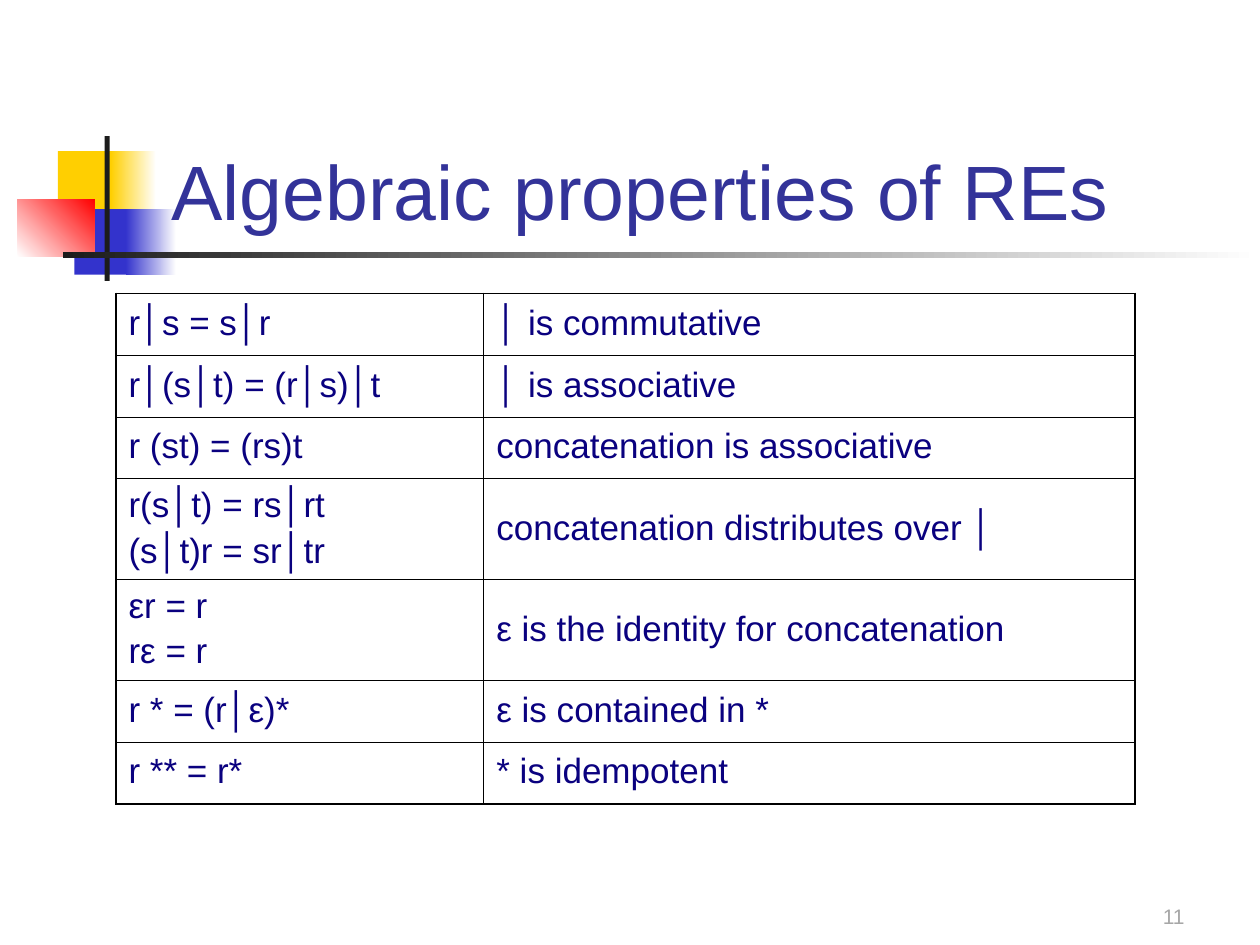
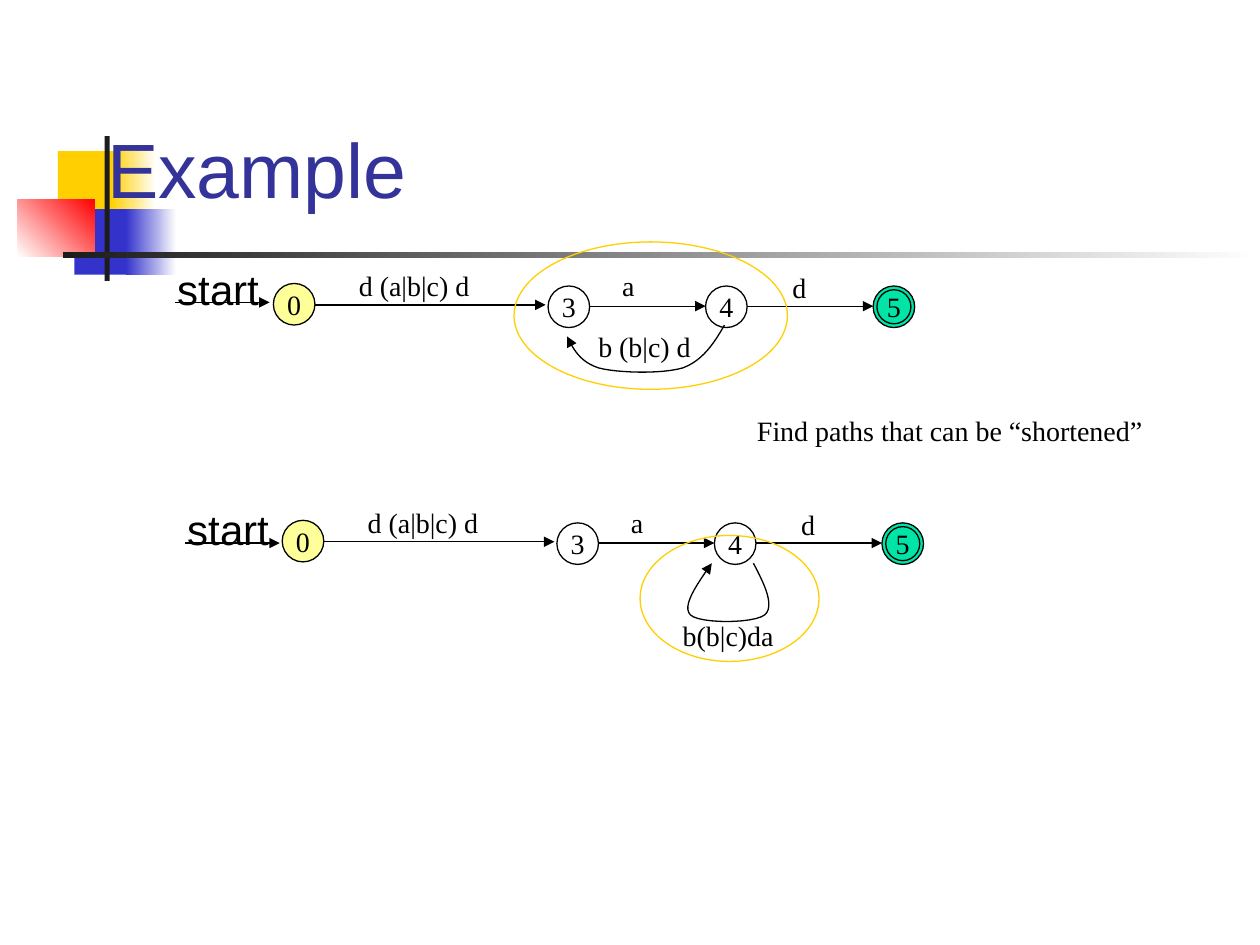
import pptx
import pptx.dml.color
import pptx.enum.shapes
import pptx.enum.text
import pptx.oxml
import pptx.oxml.ns
import pptx.util
from pptx.util import Inches

SANS, SERIF = "Arial", "Times New Roman"
BLACK, WHITE, DARK, NAVY = "000000", "FFFFFF", "1C1C1C", "0A017F"
GOLD, BLUE, RED, GREY = "FFCF01", "3333CC", "FF0000", "A7A7A7"
HEAD, PALE, GREEN = "333399", "FFFF99", "00E4A8"
THIN, THICK = 0.45, 1.08

RECT = pptx.enum.shapes.MSO_SHAPE.RECTANGLE
OVAL = pptx.enum.shapes.MSO_SHAPE.OVAL
LINE = pptx.enum.shapes.MSO_CONNECTOR.STRAIGHT
ALIGN = pptx.enum.text.PP_ALIGN
ANCHOR = pptx.enum.text.MSO_ANCHOR
FIT = pptx.enum.text.MSO_AUTO_SIZE

# left, top, width, height, colours, gradient angle
BANDS = [
    (0.46, 1.2, 0.48, 0.52, [GOLD], 0),
    (0.88, 1.2, 0.36, 0.52, [GOLD, WHITE], 0),
    (0.59, 1.66, 0.46, 0.52, [BLUE], 0),
    (1, 1.66, 0.4, 0.52, [BLUE, WHITE], 0),
    (0.14, 1.58, 0.61, 0.46, [WHITE, RED], 45),
    (0.83, 1.08, 0.04, 1.15, [DARK], 0),
    (0.5, 2, 9.5, 0.05, [DARK, WHITE], 0),
]

LAWS = [
    ("r│s = s│r", "│ is commutative"),
    ("r│(s│t) = (r│s)│t", "│ is associative"),
    ("r (st) = (rs)t", "concatenation is associative"),
    ("r(s│t) = rs│rt\n(s│t)r = sr│tr", "concatenation distributes over │"),
    ("εr = r\nrε = r", "ε is the identity for concatenation"),
    ("r * = (r│ε)*", "ε is contained in *"),
    ("r ** = r*", "* is idempotent"),
]


def paint(text):
    return pptx.dml.color.RGBColor.from_string(text)


def box(left, top, width, height):
    return [Inches(n) for n in (left, top, width, height)]


def style(frame, size, face, color, align=ALIGN.LEFT):
    for para in frame.paragraphs:
        para.alignment = align
        for run in para.runs:
            run.font.size = pptx.util.Pt(size)
            run.font.name = face
            run.font.color.rgb = paint(color)


def add(parent, tag, **attrs):
    child = pptx.oxml.parse_xml(f"<{tag} {pptx.oxml.ns.nsdecls('a')}/>")
    for key, value in attrs.items():
        child.set(key, value)
    parent.append(child)
    return child


def ink(item, color=BLACK, arrow=False):
    item.line.color.rgb = paint(color)
    item.line.width = pptx.util.Pt(0.75)
    if arrow:
        add(item.element.spPr.find(pptx.oxml.ns.qn("a:ln")), "a:tailEnd", type="triangle")


# Bands shared by all slides, kept in the layout
def add_bands(slide):
    tree = slide.slide_layout.shapes.element
    for num, (left, top, width, height, colors, angle) in enumerate(BANDS):
        band = slide.shapes.add_shape(RECT, *box(left, top, width, height))
        band.shadow.inherit = False
        band.line.fill.background()
        if len(colors) == 1:
            band.fill.solid()
            band.fill.fore_color.rgb = paint(colors[0])
        else:
            band.fill.gradient()
            band.fill.gradient_angle = angle
            for stop, color in zip(band.fill.gradient_stops, colors):
                stop.color.rgb = paint(color)
        band.element.nvSpPr.cNvPr.id = 20 + num
        tree.append(band.element)


def add_title(slide, text, left, top):
    title = slide.shapes.title
    title.left, title.top, title.width, title.height = box(left, top, 8.5, 1.25)
    frame = title.text_frame
    frame.text = text
    frame.auto_size = FIT.NONE
    frame.vertical_anchor = ANCHOR.BOTTOM
    style(frame, 44, SANS, HEAD)


def add_label(slide, text, left, top, width, height=0.37, size=16, face=SERIF):
    frame = slide.shapes.add_textbox(*box(left, top, width, height)).text_frame
    frame.text = text
    frame.word_wrap = False
    frame.auto_size = FIT.SHAPE_TO_FIT_TEXT
    style(frame, size, face, BLACK)


def add_page(slide, text):
    frame = slide.shapes.add_textbox(*box(7.42, 6.92, 2.08, 0.5)).text_frame
    frame.text = text
    frame.word_wrap = True
    frame.vertical_anchor = ANCHOR.BOTTOM
    style(frame, 12, SANS, GREY, ALIGN.RIGHT)


# Table cells
def add_edges(cell, widths):
    props = cell._tc.get_or_add_tcPr()
    for num, (side, width) in enumerate(zip("LRTB", widths)):
        edge = add(props, f"a:ln{side}", w=str(pptx.util.Pt(width)))
        add(add(edge, "a:solidFill"), "a:srgbClr", val=BLACK)
        props.insert(num, edge)


def add_table(slide, rows):
    shape = slide.shapes.add_table(len(rows), 2, *box(0.92, 2.33, 8.09, 4.05))
    table = shape.table
    table.first_row = table.horz_banding = False
    for col, width in zip(table.columns, (2.92, 5.17)):
        col.width = Inches(width)
    last = len(rows) - 1
    for r, texts in enumerate(rows):
        table.rows[r].height = Inches(0.8 if "\n" in texts[0] else 0.49)
        for c, text in enumerate(texts):
            cell = table.cell(r, c)
            cell.text_frame.text = text
            cell.vertical_anchor = ANCHOR.MIDDLE
            cell.fill.background()
            for num, para in enumerate(cell.text_frame.paragraphs):
                para.line_spacing = 0.95
                if num:
                    para.space_before = pptx.util.Pt(5)
            style(cell.text_frame, 20, SANS, NAVY)
            outer = (c == 0, c == 1, r == 0, r == last)
            add_edges(cell, [THICK if out else THIN for out in outer])


# Parts of the automata
def add_oval(slide, left, top, width, height, color=BLACK, fill=None):
    oval = slide.shapes.add_shape(OVAL, *box(left, top, width, height))
    oval.shadow.inherit = False
    if fill:
        oval.fill.solid()
        oval.fill.fore_color.rgb = paint(fill)
    else:
        oval.fill.background()
    ink(oval, color)
    return oval


def add_state(slide, text, left, top, fill=None):
    frame = add_oval(slide, left, top, 0.33, 0.33, fill=fill).text_frame
    frame.text = text
    frame.word_wrap = False
    frame.vertical_anchor = ANCHOR.MIDDLE
    style(frame, 16, SERIF, BLACK, ALIGN.CENTER)


def add_arrow(slide, start, end, y):
    arrow = slide.shapes.add_connector(LINE, *box(start, y, end, y))
    ink(arrow, arrow=True)
    add(arrow.element.spPr, "a:effectLst")


def bezier(knots, t):
    weights = ((1 - t) ** 3, 3 * t * (1 - t) ** 2, 3 * t * t * (1 - t), t ** 3)
    return [Inches(sum(w * k[axis] for w, k in zip(weights, knots))) for axis in (0, 1)]


def add_curve(slide, knots, steps=12):
    points = [bezier(knots[i:i + 4], n / steps)
              for i in range(0, len(knots) - 1, 3) for n in range(1, steps + 1)]
    first = [Inches(n) for n in knots[0]]
    path = slide.shapes.build_freeform(*first)
    path.add_line_segments(points, close=False)
    curve = path.convert_to_shape()
    curve.shadow.inherit = False
    curve.fill.background()
    ink(curve, arrow=True)


def add_chain(slide, x, y):
    """States 0, 3, 4 and 5 with their forward arrows; x, y is state 0."""
    add_state(slide, "0", x, y, PALE)
    for text, step, fill in (("3", 2.18, None), ("4", 3.43, None), ("5", 4.76, GREEN)):
        add_state(slide, text, x + step, y + 0.02, fill)
    add_oval(slide, x + 4.79, y + 0.05, 0.27, 0.27)
    for start, end, drop in ((0.33, 2.16, 0.17), (2.51, 3.43, 0.18), (3.76, 4.76, 0.18)):
        add_arrow(slide, x + start, x + end, y + drop)
    add_label(slide, "d (a|b|c) d", x + 0.58, y - 0.17, 1.15)
    add_label(slide, "a", x + 2.67, y - 0.17, 0.3)
    add_label(slide, "d", x + 4.02, y - 0.15, 0.31)


def add_start(slide, x, y):
    add_arrow(slide, x + 0.08, x + 0.83, y + 0.36)
    add_label(slide, "start", x, y, 0.85, 0.5, 24, SANS)


def main():
    deck = pptx.Presentation()
    deck.slide_width, deck.slide_height = Inches(10), Inches(7.5)
    layout = deck.slide_layouts[5]

    # Algebraic laws
    laws = deck.slides.add_slide(layout)
    add_bands(laws)
    add_title(laws, "Algebraic properties of REs", 1.26, 0.67)
    add_table(laws, LAWS)
    add_page(laws, "11")

    # Shortening paths
    demo = deck.slides.add_slide(layout)
    add_title(demo, "Example", 0.75, 0.5)
    add_chain(demo, 2.17, 2.25)
    add_curve(demo, [(5.75, 2.58), (5.67, 2.72), (5.58, 2.86), (5.42, 2.92), (5.25, 2.97),
                     (4.9, 2.96), (4.75, 2.92), (4.6, 2.87), (4.55, 2.77), (4.5, 2.67)])
    add_label(demo, "b (b|c) d", 4.65, 2.57, 1)
    add_chain(demo, 2.24, 4.13)
    add_curve(demo, [(5.98, 4.47), (6.07, 4.64), (6.15, 4.81), (6.07, 4.88), (5.98, 4.95),
                     (5.55, 4.95), (5.48, 4.88), (5.41, 4.81), (5.53, 4.64), (5.65, 4.47)])
    add_label(demo, "b(b|c)da", 5.32, 4.86, 0.92)
    add_oval(demo, 4.08, 1.92, 2.17, 1.17, GOLD)
    add_oval(demo, 5.08, 4.25, 1.42, 1, GOLD)
    add_label(demo, "Find paths that can be “shortened”", 5.91, 3.23, 3.26)
    add_start(demo, 1.31, 2.04)
    add_start(demo, 1.39, 3.95)

    deck.save("out.pptx")


if __name__ == "__main__":
    main()
